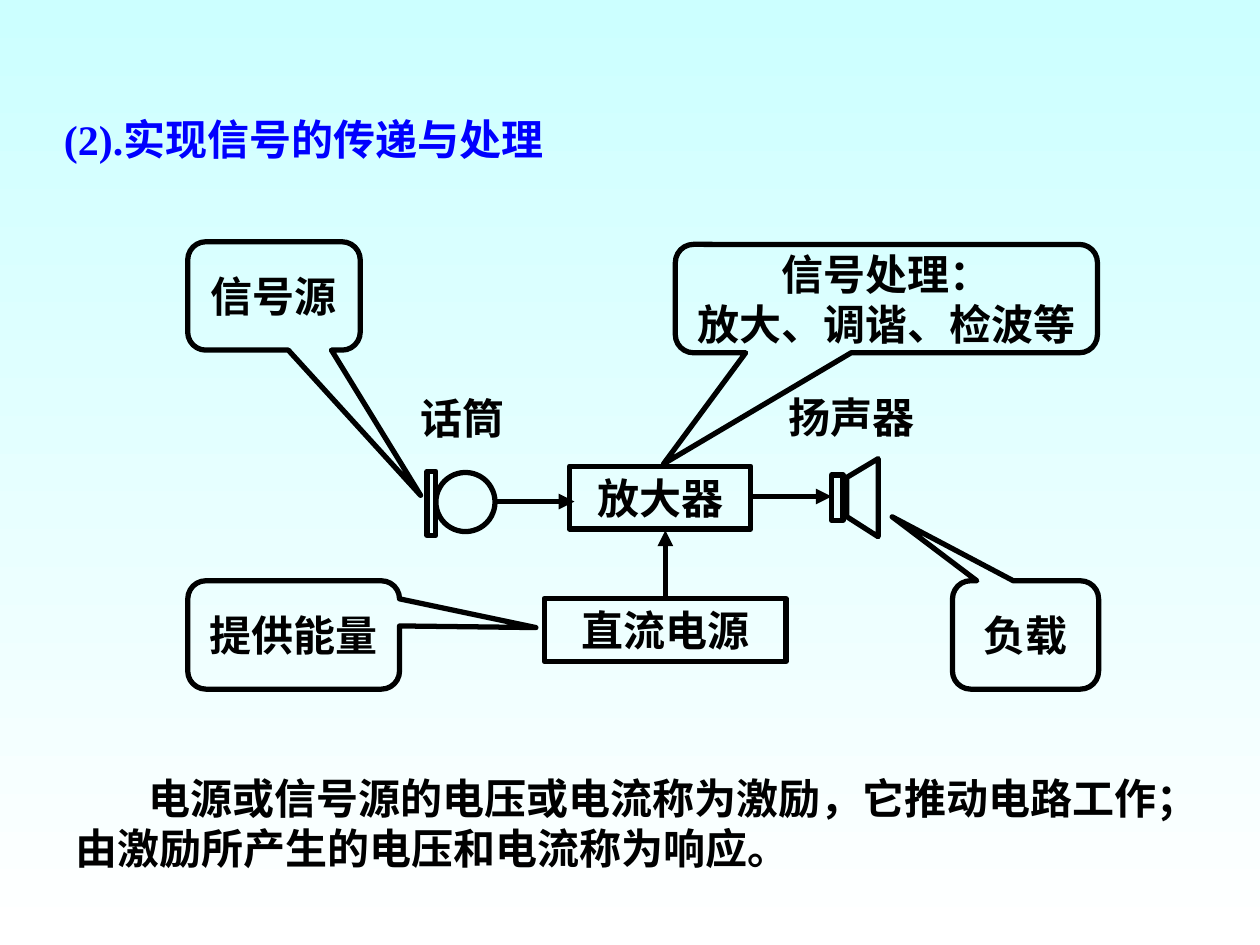
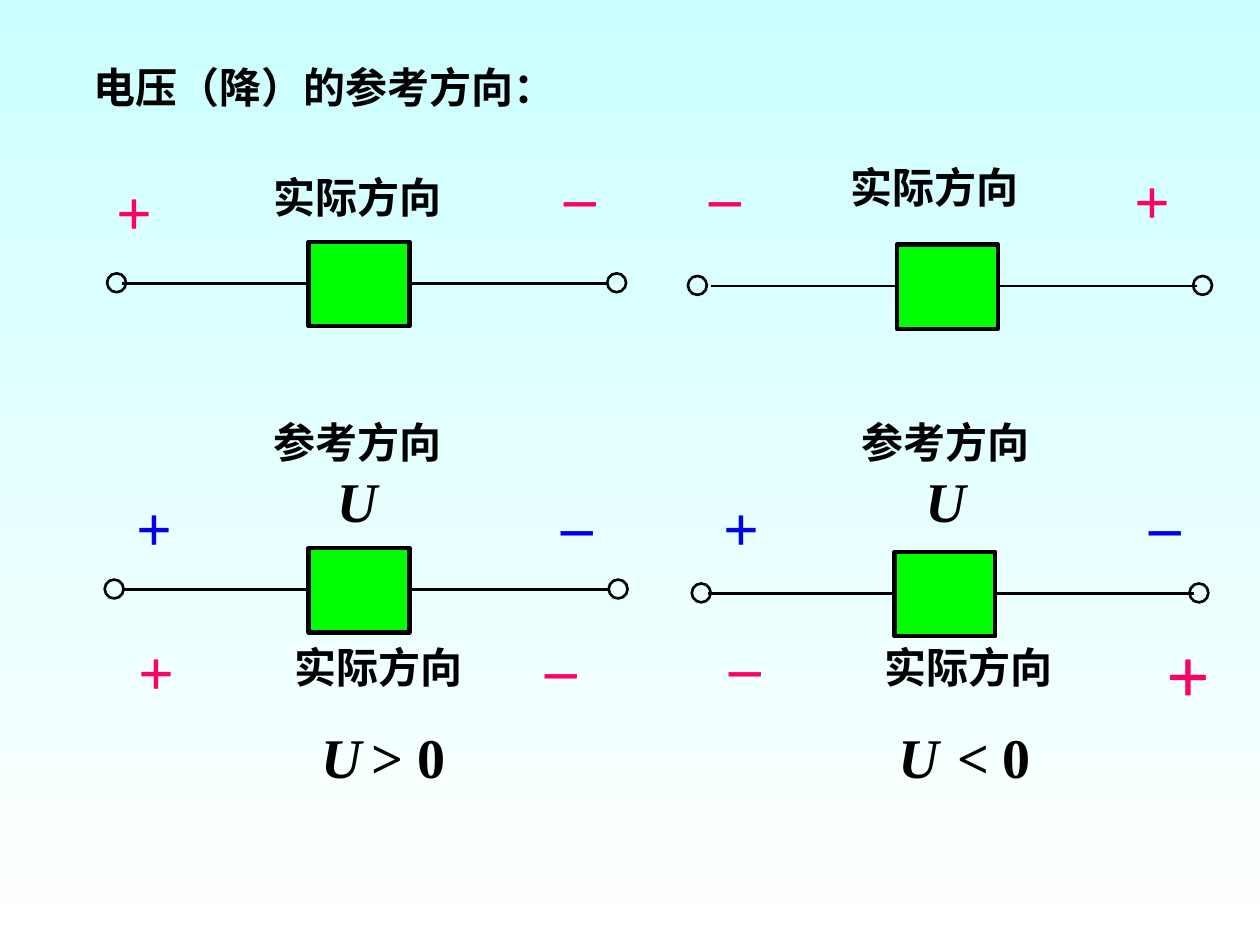
from typing import NamedTuple

from lxml import etree
from pptx import Presentation
from pptx.dml.color import RGBColor
from pptx.enum import shapes, text
from pptx.oxml import ns
from pptx.util import Pt

BLACK = RGBColor(0x00, 0x00, 0x00)
WHITE = RGBColor(0xFF, 0xFF, 0xFF)
SKY = RGBColor(0xCC, 0xFF, 0xFF)
TITLE_BLUE = RGBColor(0x00, 0x00, 0xFF)
SIGN_BLUE = RGBColor(0x00, 0x00, 0xF0)
SIGN_PINK = RGBColor(0xFF, 0x00, 0x66)
BLOCK_GREEN = RGBColor(0x00, 0xFF, 0x00)

FONT = "Times New Roman"
KIND = shapes.MSO_SHAPE
ALIGN = text.PP_ALIGN
ANCHOR = text.MSO_ANCHOR


class Area(NamedTuple):
    left: float
    top: float
    width: float
    height: float

    def lengths(self):
        return [Pt(value) for value in self]


class Span(NamedTuple):
    words: str
    size: float = 24
    color: RGBColor = BLACK
    italic: bool = False


class Label(NamedTuple):
    area: Area
    spans: tuple
    align: ALIGN = ALIGN.CENTER
    wrap: bool = False
    indent: float = 0


class Part(NamedTuple):
    kind: KIND
    area: Area
    words: tuple = ()
    adjust: tuple = ()


class Wire(NamedTuple):
    x1: float
    y1: float
    x2: float
    y2: float


class Circuit(NamedTuple):
    left: float
    top: float
    first_terminal: float
    last_terminal: float


def add_page(deck):
    page = deck.slides.add_slide(deck.slide_layouts[6])
    fill = page.background.fill
    fill.gradient()
    fill.gradient_angle = 270
    for stop, color, position in zip(fill.gradient_stops, (SKY, WHITE), (0, 1)):
        stop.color.rgb = color
        stop.position = position
    return page


def write(frame, label: Label) -> None:
    frame.word_wrap = label.wrap
    frame.vertical_anchor = ANCHOR.MIDDLE
    for number, item in enumerate(label.spans):
        para = frame.add_paragraph() if number else frame.paragraphs[0]
        para.alignment = label.align
        if label.indent:
            para._p.get_or_add_pPr().set("indent", str(Pt(label.indent)))
        span = para.add_run()
        span.text = item.words
        font = span.font
        font.name = FONT
        font.size = Pt(item.size)
        font.bold = True
        font.italic = item.italic
        font.color.rgb = item.color


def add_label(page, label: Label) -> None:
    box = page.shapes.add_textbox(*label.area.lengths())
    write(box.text_frame, label)


def outline(shape, weight: float, fill=None) -> None:
    shape.shadow.inherit = False
    if fill is None:
        shape.fill.background()
    else:
        shape.fill.solid()
        shape.fill.fore_color.rgb = fill
    shape.line.color.rgb = BLACK
    shape.line.width = Pt(weight)


def add_part(page, part: Part, weight: float = 3, fill=None) -> None:
    shape = page.shapes.add_shape(part.kind, *part.area.lengths())
    for number, value in enumerate(part.adjust):
        shape.adjustments[number] = value
    outline(shape, weight, fill)
    if part.words:
        write(shape.text_frame, Label(part.area, tuple(Span(line) for line in part.words)))


def add_wire(page, wire: Wire, weight: float, arrow: bool = False) -> None:
    ends = [Pt(value) for value in wire]
    line = page.shapes.add_connector(shapes.MSO_CONNECTOR.STRAIGHT, *ends)
    line.line.color.rgb = BLACK
    line.line.width = Pt(weight)
    if arrow:
        etree.SubElement(line.line._get_or_add_ln(), ns.qn("a:tailEnd"), type="triangle")
    etree.SubElement(line._element.spPr, ns.qn("a:effectLst"))


def add_cone(page, points) -> None:
    corners = [(Pt(x), Pt(y)) for x, y in points]
    builder = page.shapes.build_freeform(*corners[0], scale=1.0)
    builder.add_line_segments(corners[1:], close=True)
    outline(builder.convert_to_shape(), 3)


def add_circuit(page, circuit: Circuit) -> None:
    left, top = circuit.left, circuit.top
    add_part(page, Part(KIND.RECTANGLE, Area(left, top, 57.6, 48.2)), 2.5, BLOCK_GREEN)
    level = top + 23.8
    for start, end in ((left, left - 106.5), (left + 57.6, left + 171.3)):
        add_wire(page, Wire(start, level, end, level), 1.5)
    for x in (circuit.first_terminal, circuit.last_terminal):
        add_part(page, Part(KIND.OVAL, Area(x, top + 18, 10.8, 10.8)), 1.5)


def callout(left, top, width, words, tip_x, tip_y) -> Part:
    return Part(KIND.ROUNDED_RECTANGULAR_CALLOUT, Area(left, top, width, 61.9),
                words, (tip_x, tip_y, 0.167))


SIGNAL_PARTS = [
    callout(107.3, 138.2, 98.6, ("信号源",), 0.85, 1.841),
    callout(385.9, 139.7, 241.2, ("信号处理：", "放大、调谐、检波等"), -0.528, 1.526),
    callout(107.3, 331.9, 121, ("提供能量",), 1.144, -0.068),
    callout(544.3, 331.9, 83.5, ("负载",), -0.913, -1.091),
    Part(KIND.OVAL, Area(249.1, 270, 33.8, 33.8)),
    Part(KIND.RECTANGLE, Area(244.1, 269.3, 5, 36.7)),
    Part(KIND.RECTANGLE, Area(475.2, 271.4, 6.5, 25.9)),
    Part(KIND.RECTANGLE, Area(325.4, 266.4, 103.7, 36), ("放大器",)),
    Part(KIND.RECTANGLE, Area(311, 342, 138.2, 36), ("直流电源",)),
]
SPEAKER_CONE = [(501.8, 262.1), (483.8, 272.9), (483.8, 295.2), (501.8, 306.7)]
SIGNAL_ARROWS = [
    Wire(429.1, 283.7, 475.2, 283.7),
    Wire(282.2, 286.6, 328.3, 286.6),
    Wire(380.2, 343.4, 380.2, 303.1),
]
SIGNAL_LABELS = [
    Label(Area(29.5, 61.2, 620, 36),
          (Span("(2).实现信号的传递与处理", color=TITLE_BLUE),), ALIGN.LEFT, True),
    Label(Area(443.5, 220.3, 103.7, 36), (Span("扬声器"),), ALIGN.LEFT),
    Label(Area(233.3, 221, 80.6, 36), (Span("话筒"),), ALIGN.LEFT),
    Label(Area(36, 437.8, 650, 64.8),
          (Span("电源或信号源的电压或电流称为激励，它推动电路工作；"
                "由激励所产生的电压和电流称为响应。"),), ALIGN.LEFT, True, 42),
]

CIRCUITS = [
    Circuit(176.4, 138.2, 61.2, 347),
    Circuit(512.6, 139.7, 393.1, 681.8),
    Circuit(176.4, 313.2, 59.8, 347.8),
    Circuit(511.2, 315.4, 395.3, 679.7),
]
ACTUAL_PLACES = [(149, 94.3), (478.8, 88.6), (161.3, 362.9), (498.2, 362.9)]
REFERENCE_PLACES = [(149, 234), (485.3, 234)]
PINK_PLUSES = [(36, 95, 36), (617.8, 88.6, 36), (48.2, 357.8, 36), (637.9, 353.5, 44)]
PINK_MINUSES = [(315.4, 85.7), (398.2, 85.7), (304.6, 355.7), (409.7, 354.2)]
BLUE_SIGNS = [("+", 58.3, 275.8), ("–", 300.2, 273.6),
              ("+", 393.8, 275.8), ("–", 635.8, 273.6)]
RESULTS = [(176.4, "> 0", 205.2, 56.9), (506.2, "< 0", 535.7, 64.8)]
VOLTAGE = Span("U", 32, italic=True)


def direction_labels():
    yield Label(Area(34.6, 31.7, 277.9, 36), (Span("电压（降）的参考方向："),))
    for left, top in ACTUAL_PLACES:
        yield Label(Area(left, top, 110.2, 36), (Span("实际方向"),))
    for left, top in REFERENCE_PLACES:
        yield Label(Area(left, top, 110.2, 74.9), (Span("参考方向"), VOLTAGE))
    for left, top, size in PINK_PLUSES:
        yield Label(Area(left, top, 82, size * 1.4), (Span("+", size, SIGN_PINK),))
    for left, top in PINK_MINUSES:
        yield Label(Area(left, top, 32.4, 50.4), (Span("–", 36, SIGN_PINK),))
    for sign, left, top in BLUE_SIGNS:
        yield Label(Area(left, top, 59.8, 50.4), (Span(sign, 36, SIGN_BLUE),))
    for voltage_left, relation, left, width in RESULTS:
        yield Label(Area(voltage_left, 409, 37.4, 46.1), (VOLTAGE,))
        yield Label(Area(left, 409, width, 46.1), (Span(relation, 32),))


def build_signal_page(deck) -> None:
    page = add_page(deck)
    for part in SIGNAL_PARTS:
        add_part(page, part)
    add_cone(page, SPEAKER_CONE)
    for arrow in SIGNAL_ARROWS:
        add_wire(page, arrow, 3, arrow=True)
    for label in SIGNAL_LABELS:
        add_label(page, label)


def build_direction_page(deck) -> None:
    page = add_page(deck)
    for circuit in CIRCUITS:
        add_circuit(page, circuit)
    for label in direction_labels():
        add_label(page, label)


def main() -> None:
    deck = Presentation()
    deck.slide_width = Pt(720)
    deck.slide_height = Pt(540)
    build_signal_page(deck)
    build_direction_page(deck)
    deck.save("out.pptx")


if __name__ == "__main__":
    main()
